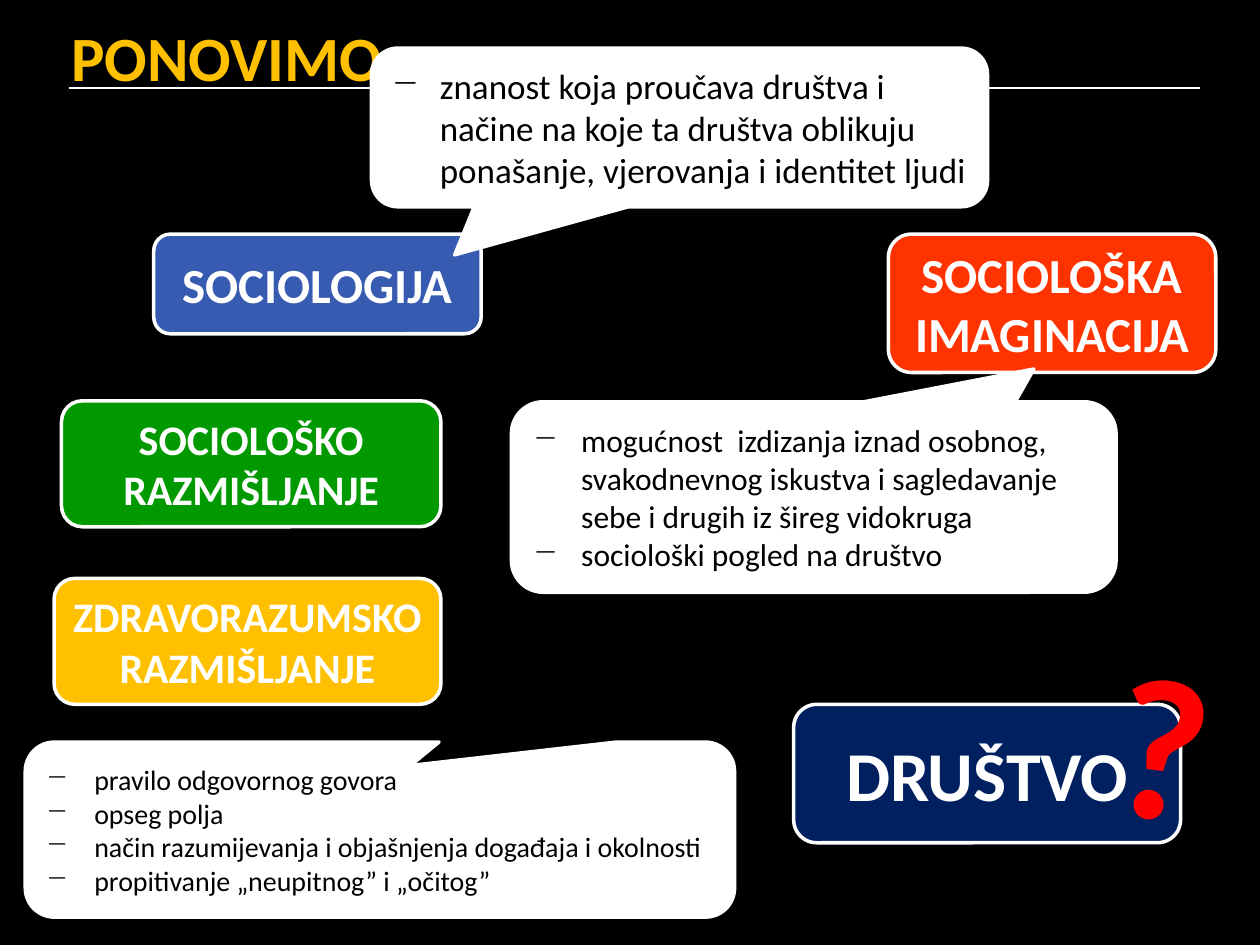
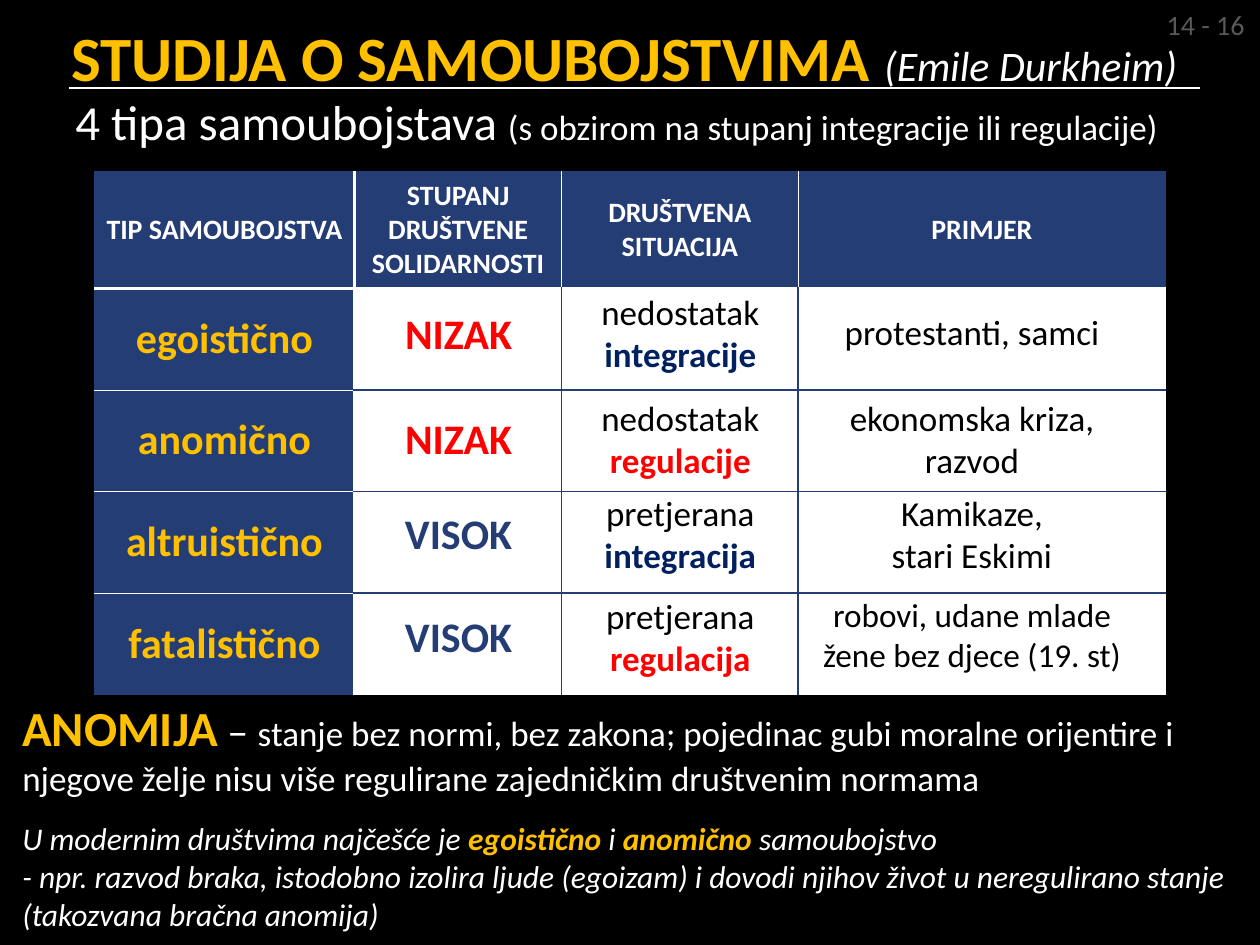
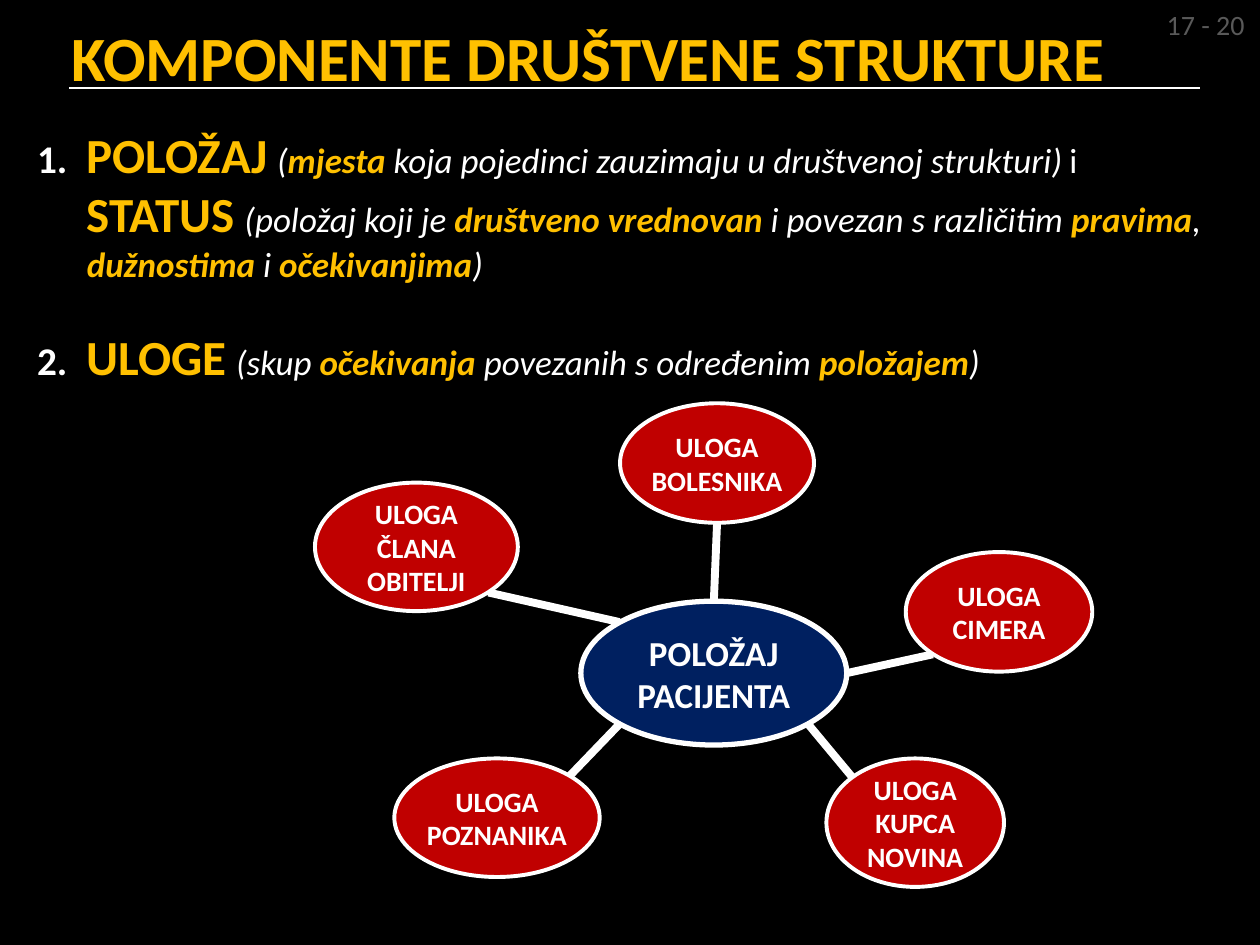
from pptx import Presentation
from pptx.dml.color import RGBColor
from pptx.enum.shapes import MSO_CONNECTOR, MSO_SHAPE
from pptx.enum.text import MSO_ANCHOR, PP_ALIGN
from pptx.oxml import parse_xml
from pptx.oxml.ns import nsdecls
from pptx.util import Cm, Pt

COLORS = {
    "black": "000000", "white": "FFFFFF", "gold": "FFC000", "red": "FF0000",
    "grey": "595959", "navy": "002060", "table": "253D75", "blue": "375BB0",
    "orange": "FF3300", "green": "009900", "crimson": "C00000",
}
RGB = {name: RGBColor.from_string(value) for name, value in COLORS.items()}
NS = nsdecls("a")
FONT = "Calibri"
CENTER = {"alignment": PP_ALIGN.CENTER}
MIDDLE = {"vertical_anchor": MSO_ANCHOR.MIDDLE, "word_wrap": True}
NARROW = {"margin_left": Cm(0.1), "margin_right": Cm(0.1)}
NO_MARGINS = {f"margin_{side}": 0 for side in ("left", "top", "right", "bottom")}
DASH = (0.97, [f'<a:buChar {NS} char="−"/>'])
NUMBER = (1, [
    f'<a:buClr {NS}><a:srgbClr val="{COLORS["white"]}"/></a:buClr>',
    f'<a:buSzPct {NS} val="80000"/>',
    f'<a:buAutoNum {NS} type="arabicPeriod"/>',
])


def write(frame, paragraphs, paragraph_format, bullet=None, gap=0, indent=0):
    """Write paragraphs of (text, size, color, flags) runs; flags may hold b and i."""
    for index, runs in enumerate(paragraphs):
        paragraph = frame.add_paragraph() if index else frame.paragraphs[0]
        for name, value in paragraph_format.items():
            setattr(paragraph, name, value)
        if index and gap:
            paragraph.space_before = Pt(gap)
        if bullet:
            hang, marks = bullet
            properties = paragraph._p.get_or_add_pPr()
            properties.set("marL", str(Cm(indent or hang)))
            properties.set("indent", str(-Cm(hang)))
            for mark in marks:
                properties.append(parse_xml(mark))
        for text, size, color, flags in runs:
            for number, piece in enumerate(text.split("\n")):
                if number:
                    paragraph.add_line_break()
                run = paragraph.add_run()
                run.text = piece
                font_format = {"name": FONT, "size": Pt(size),
                               "bold": "b" in flags, "italic": "i" in flags}
                for name, value in font_format.items():
                    setattr(run.font, name, value)
                run.font.color.rgb = RGB[color]


def add_text(slide, box, paragraphs, kind=None, fill=None, line=2,
             frame_format={"word_wrap": True}, paragraph_format={}, **layout):
    """Add a filled shape of the given kind, or a text box when there is no kind."""
    lengths = [Cm(value) for value in box]
    if kind is None:
        shape = slide.shapes.add_textbox(*lengths)
    else:
        shape = slide.shapes.add_shape(kind, *lengths)
        shape.shadow.inherit = False
        shape.fill.solid()
        shape.fill.fore_color.rgb = RGB[fill]
        shape.line.color.rgb = RGB["white"]
        shape.line.width = Pt(line)
    for name, value in frame_format.items():
        setattr(shape.text_frame, name, value)
    write(shape.text_frame, paragraphs, paragraph_format, **layout)
    return shape


presentation = Presentation()
presentation.slide_width = Cm(25.4)
presentation.slide_height = Cm(19.05)
background = presentation.slide_master.background.fill
background.solid()
background.fore_color.rgb = RGB["black"]

# Title, rule and page range on every slide
headings = [
    ("PONOVIMO", "", ""),
    ("STUDIJA O SAMOUBOJSTVIMA ", "(Emile Durkheim)", "14 - 16"),
    ("KOMPONENTE DRUŠTVENE STRUKTURE", "", "17 - 20"),
]
for title, author, pages in headings:
    slide = presentation.slides.add_slide(presentation.slide_layouts[6])
    rule = slide.shapes.add_connector(
        MSO_CONNECTOR.STRAIGHT, Cm(1.4), Cm(1.78), Cm(24.2), Cm(1.78))
    rule.line.color.rgb = RGB["white"]
    rule.line.width = Pt(1)
    rule._element.spPr.append(parse_xml(f"<a:effectLst {NS}/>"))
    title_runs = [(title, 36, "gold", "b")]
    if author:
        title_runs.append((author, 24, "white", "i"))
    add_text(slide, (1.19, 0.25, 24.2, 1.6), [title_runs])
    if pages:
        add_text(slide, (23.27, 0.03, 2.13, 0.94), [[(pages, 16, "grey", "")]],
                 frame_format={"word_wrap": False})
review, study, structure = presentation.slides

# Slide 1: concepts and their explanations
concepts = [
    ("SOCIOLOGIJA", 28, "blue", (3.1, 4.72, 6.6, 2.01), {}),
    ("SOCIOLOŠKA IMAGINACIJA", 28, "orange", (17.91, 4.72, 6.6, 2.79), {}),
    ("SOCIOLOŠKO RAZMIŠLJANJE", 24, "green", (1.24, 8.08, 7.65, 2.54), {}),
    ("ZDRAVORAZUMSKO RAZMIŠLJANJE", 24, "gold", (1.09, 11.66, 7.8, 2.54), NARROW),
    ("DRUŠTVO", 40, "navy", (16, 14.2, 7.8, 2.79), NARROW),
]
for text, size, fill, box, margins in concepts:
    add_text(review, box, [[(text, size, "white", "b")]],
             MSO_SHAPE.ROUNDED_RECTANGLE, fill,
             frame_format=MIDDLE | margins, paragraph_format=CENTER)

explanations = [
    (20, (7.49, 0.97, 12.42, 3.2), (-0.365, 0.803), [
        "znanost koja proučava društva i načine na koje ta društva oblikuju "
        "ponašanje, vjerovanja i identitet ljudi"]),
    (18, (10.31, 8.1, 12.19, 3.84), (0.364, -0.672), [
        "mogućnost  izdizanja iznad osobnog, svakodnevnog iskustva i "
        "sagledavanje sebe i drugih iz šireg vidokruga",
        "sociološki pogled na društvo"]),
    (16, (0.51, 14.96, 14.3, 3.53), (0.043, -0.366), [
        "pravilo odgovornog govora",
        "opseg polja",
        "način razumijevanja i objašnjenja događaja i okolnosti",
        "propitivanje „neupitnog” i „očitog”"]),
]
for size, box, tail, points in explanations:
    callout = add_text(review, box, [[(point, size, "black", "")] for point in points],
                       MSO_SHAPE.ROUNDED_RECTANGULAR_CALLOUT, "white",
                       frame_format=MIDDLE, bullet=DASH,
                       paragraph_format={"alignment": PP_ALIGN.LEFT})
    for index, value in enumerate(tail):
        callout.adjustments[index] = value

question_mark = add_text(review, (22.25, 12.34, 2.41, 5.18),
                         [[("?", 115, "red", "b")]], frame_format={"word_wrap": False})
question_mark.rotation = 8.1

# Slide 2: table of types
add_text(study, (1.27, 1.73, 23.4, 1.6), [[
    ("4 tipa samoubojstava ", 28, "white", ""),
    ("(s obzirom na stupanj integracije ili regulacije)", 20, "white", "")]])

headers = ["TIP SAMOUBOJSTVA", "STUPANJ DRUŠTVENE SOLIDARNOSTI",
           "DRUŠTVENA SITUACIJA", "PRIMJER"]
types = [
    ("egoistično", "NIZAK", "red", "nedostatak ", "integracije", "navy",
     "protestanti, samci", 20),
    ("anomično", "NIZAK", "red", "nedostatak ", "regulacije", "red",
     "ekonomska kriza, razvod", 20),
    ("altruistično", "VISOK", "table", "pretjerana ", "integracija", "navy",
     "Kamikaze,\nstari Eskimi", 20),
    ("fatalistično", "VISOK", "table", "pretjerana ", "regulacija", "red",
     "robovi, udane mlade žene bez djece (19. st)", 19),
]
column_widths = [5.25, 4.17, 4.77, 7.41]
row_heights = [2.36] + [2.05] * len(types)
table = study.shapes.add_table(
    len(row_heights), len(column_widths), Cm(1.9), Cm(3.45),
    Cm(sum(column_widths)), Cm(sum(row_heights))).table
table.horz_banding = False
table._tbl.tblPr[0].text = "{2D5ABB26-0587-4C30-8999-92F81FD0307C}"
for column, width in zip(table.columns, column_widths):
    column.width = Cm(width)
for row, height in zip(table.rows, row_heights):
    row.height = Cm(height)

cell_format = {f"margin_{side}": Cm(0.13) for side in ("left", "top", "right", "bottom")}
cell_format["vertical_anchor"] = MSO_ANCHOR.MIDDLE
thick, thin, inner = ("white", 2.25), ("white", 0.25), ("table", 1)
last_row, last_column = len(row_heights) - 1, len(column_widths) - 1
for r in range(last_row + 1):
    for c in range(last_column + 1):
        cell = table.cell(r, c)
        for name, value in cell_format.items():
            setattr(cell, name, value)
        cell.fill.solid()
        cell.fill.fore_color.rgb = RGB["white" if r and c else "table"]
        if r == 0:
            write(cell.text_frame, [[(headers[c], 16, "white", "b")]], CENTER)
        elif c == 0:
            write(cell.text_frame, [[(types[r - 1][0], 24, "gold", "b")]], CENTER)
        side_rule = thin if r == 0 else inner
        level_rule = thin if c == 0 else inner
        borders = [
            ("lnL", c > 0, thick if c == 1 else side_rule),
            ("lnR", c < last_column, thick if c == 0 else side_rule),
            ("lnT", r > 0, thick if r == 1 else level_rule),
            ("lnB", r < last_row, thick if r == 0 else level_rule),
        ]
        drawn = [(tag, border) for tag, inside, border in borders if inside]
        for index, (tag, (color, width)) in enumerate(drawn):
            cell._tc.tcPr.insert(index, parse_xml(
                f'<a:{tag} {NS} w="{Pt(width)}"><a:solidFill>'
                f'<a:srgbClr val="{COLORS[color]}"/></a:solidFill></a:{tag}>'))

row_tops = [5.74, 7.87, 9.78, 11.86]
for top, (_, degree, degree_color, lack, subject, subject_color, example, size) in zip(
        row_tops, types):
    single_line = size == 20 and len(example) < 20 and "\n" not in example
    entries = [
        (7.16, top + 0.33, 4.17, 1.27, [(degree, 24, degree_color, "b")]),
        (11.33, top, 4.77, 1.96, [(lack, 20, "black", ""),
                                  (subject, 20, subject_color, "b")]),
        (16.1, top + 0.4 * single_line, 6.99, 1.96, [(example, size, "black", "")]),
    ]
    for *box, runs in entries:
        add_text(study, box, [runs], paragraph_format=CENTER)

add_text(study, (0.2, 13.94, 25.2, 5.05), [
    [("ANOMIJA", 28, "gold", "b"), (" – ", 24, "white", ""),
     ("stanje bez normi, bez zakona; pojedinac gubi moralne orijentire i njegove "
      "želje nisu više regulirane zajedničkim društvenim normama", 20, "white", "")],
    [("U modernim društvima najčešće je ", 18, "white", "i"),
     ("egoistično ", 18, "gold", "bi"), ("i ", 18, "white", "i"),
     ("anomično ", 18, "gold", "bi"),
     ("samoubojstvo \n- npr. razvod braka, istodobno izolira ljude (egoizam) i dovodi "
      "njihov život u neregulirano stanje (takozvana bračna anomija)", 18, "white", "i")],
], gap=12)

# Slide 3: components and the roles around one position
add_text(structure, (0, 2.39, 25, 7.6), [
    [("POLOŽAJ", 28, "gold", "b"), (" ", 24, "white", ""), ("(", 20, "white", "i"),
     ("mjesta", 20, "gold", "bi"),
     (" koja pojedinci zauzimaju u društvenoj strukturi)", 20, "white", "i"),
     (" ", 16, "white", "i"), ("i ", 20, "white", ""),
     ("STATUS", 28, "gold", "b"), (" ", 24, "white", ""),
     ("(položaj koji je ", 20, "white", "i"),
     ("društveno vrednovan ", 20, "gold", "bi"),
     ("i povezan s različitim ", 20, "white", "i"), ("pravima", 20, "gold", "bi"),
     (", ", 20, "white", "i"), ("dužnostima", 20, "gold", "bi"),
     (" i ", 20, "white", "i"), ("očekivanjima", 20, "gold", "bi"),
     (")", 20, "white", "i")],
    [("ULOGE", 28, "gold", "b"), (" ", 24, "white", ""), ("(skup", 20, "white", "i"),
     (" očekivanja ", 20, "gold", "bi"),
     ("povezanih s određenim ", 20, "white", "i"),
     ("položajem", 20, "gold", "bi"), (")", 20, "white", "i")],
], bullet=NUMBER, indent=1.5, gap=24)

position = (11.71, 12.12, 5.36, 2.9)
add_text(structure, position, [[("POLOŽAJ PACIJENTA", 20, "white", "b")]],
         MSO_SHAPE.OVAL, "navy", 3, frame_format=MIDDLE, paragraph_format=CENTER)

# Each link runs between two points of the ovals, given as directions from the centre
DIAGONAL = 0.71
roles = [
    ("ULOGA ČLANA OBITELJI", (6.35, 9.73, 4.09, 2.59),
     (-DIAGONAL, -DIAGONAL), (DIAGONAL, DIAGONAL)),
    ("ULOGA BOLESNIKA", (12.5, 8.13, 3.91, 2.41), (0, -1), (0, 1)),
    ("ULOGA CIMERA", (18.26, 11.13, 3.76, 2.41), (1, 0), (-DIAGONAL, DIAGONAL)),
    ("ULOGA KUPCA NOVINA", (16.66, 15.29, 3.58, 2.59),
     (DIAGONAL, DIAGONAL), (-DIAGONAL, -DIAGONAL)),
    ("ULOGA POZNANIKA", (7.95, 15.29, 4.14, 2.39),
     (-DIAGONAL, DIAGONAL), (DIAGONAL, -DIAGONAL)),
]
for text, box, position_side, role_side in roles:
    ends = []
    for (left, top, width, height), (x, y) in ((position, position_side), (box, role_side)):
        ends += [Cm(left + width * (1 + x) / 2), Cm(top + height * (1 + y) / 2)]
    link = structure.shapes.add_connector(MSO_CONNECTOR.STRAIGHT, *ends)
    link.line.color.rgb = RGB["white"]
    link.line.width = Pt(4.5)
    link._element.spPr.append(parse_xml(f"<a:effectLst {NS}/>"))
    add_text(structure, box, [[(text, 16, "white", "b")]], MSO_SHAPE.OVAL, "crimson",
             2.25, frame_format=MIDDLE | NO_MARGINS, paragraph_format=CENTER)

presentation.save("out.pptx")
